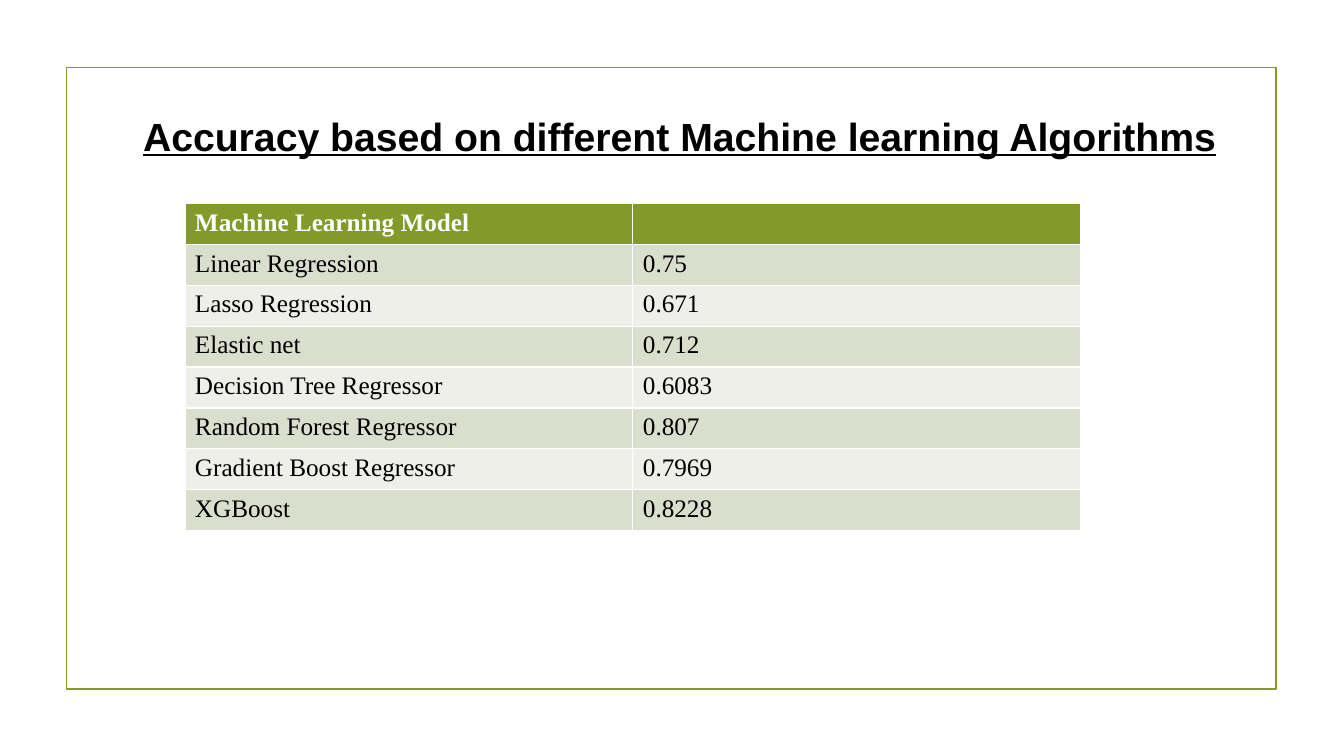
from pptx import Presentation
from pptx.dml.color import RGBColor
from pptx.enum.shapes import MSO_SHAPE
from pptx.enum.text import MSO_ANCHOR, MSO_AUTO_SIZE, PP_ALIGN
from pptx.util import Cm, Pt

RECTANGLE = MSO_SHAPE.RECTANGLE
MIDDLE = MSO_ANCHOR.MIDDLE
FIT_SHAPE = MSO_AUTO_SIZE.SHAPE_TO_FIT_TEXT
CENTER = PP_ALIGN.CENTER
TITLE_ONLY = 5

COLORS = {
    "green": "83992A",
    "dark band": "D9DECD",
    "light band": "EDEFE8",
    "black": "000000",
    "white": "FFFFFF",
}
TITLE_FONT = {"name": "Arial", "size": Pt(28), "bold": True, "underline": True}
HEADER_FONT = {"name": "Times New Roman", "size": Pt(18), "bold": True}
BODY_FONT = {**HEADER_FONT, "bold": False}

ACCURACIES = [
    ("Machine Learning Model", ""),
    ("Linear Regression", "0.75"),
    ("Lasso Regression", "0.671"),
    ("Elastic net", "0.712"),
    ("Decision Tree Regressor", "0.6083"),
    ("Random Forest Regressor", "0.807"),
    ("Gradient Boost Regressor", "0.7969"),
    ("XGBoost", "0.8228"),
]
COLUMN_WIDTH = Cm(11.29)
ROW_HEIGHT = Cm(1.03)


def rgb(name):
    return RGBColor.from_string(COLORS[name])


def write(paragraph, text, font, color):
    span = paragraph.add_run()
    span.text = text
    for name, value in font.items():
        setattr(span.font, name, value)
    span.font.color.rgb = rgb(color)


deck = Presentation()
deck.slide_width, deck.slide_height = Cm(33.87), Cm(19.05)
page = deck.slides.add_slide(deck.slide_layouts[TITLE_ONLY])

# Frame
frame = page.shapes.add_shape(RECTANGLE, Cm(1.68), Cm(1.7), Cm(30.48), Cm(15.67))
frame.shadow.inherit = False
frame.fill.background()
frame.line.color.rgb = rgb("green")
frame.line.width = Pt(1.25)

# Title
title = page.shapes.title
title.left, title.top, title.width, title.height = Cm(3.18), Cm(2.69), Cm(27.89), Cm(1.45)
title_format = {"word_wrap": False, "auto_size": FIT_SHAPE, "vertical_anchor": MIDDLE}
for name, value in title_format.items():
    setattr(title.text_frame, name, value)
heading = title.text_frame.paragraphs[0]
heading.alignment = CENTER
write(heading, "Accuracy based on different Machine learning Algorithms", TITLE_FONT, "black")

# Accuracy table
row_count, column_count = len(ACCURACIES), len(ACCURACIES[0])
table = page.shapes.add_table(
    row_count, column_count, Cm(4.66), Cm(5.13),
    COLUMN_WIDTH * column_count, ROW_HEIGHT * row_count,
).table
for row, values in enumerate(ACCURACIES):
    if row == 0:
        fill, font, color = "green", HEADER_FONT, "white"
    else:
        fill = "dark band" if row % 2 else "light band"
        font, color = BODY_FONT, "black"
    for column, value in enumerate(values):
        cell = table.cell(row, column)
        cell.fill.solid()
        cell.fill.fore_color.rgb = rgb(fill)
        if value:
            write(cell.text_frame.paragraphs[0], value, font, color)

deck.save("out.pptx")
